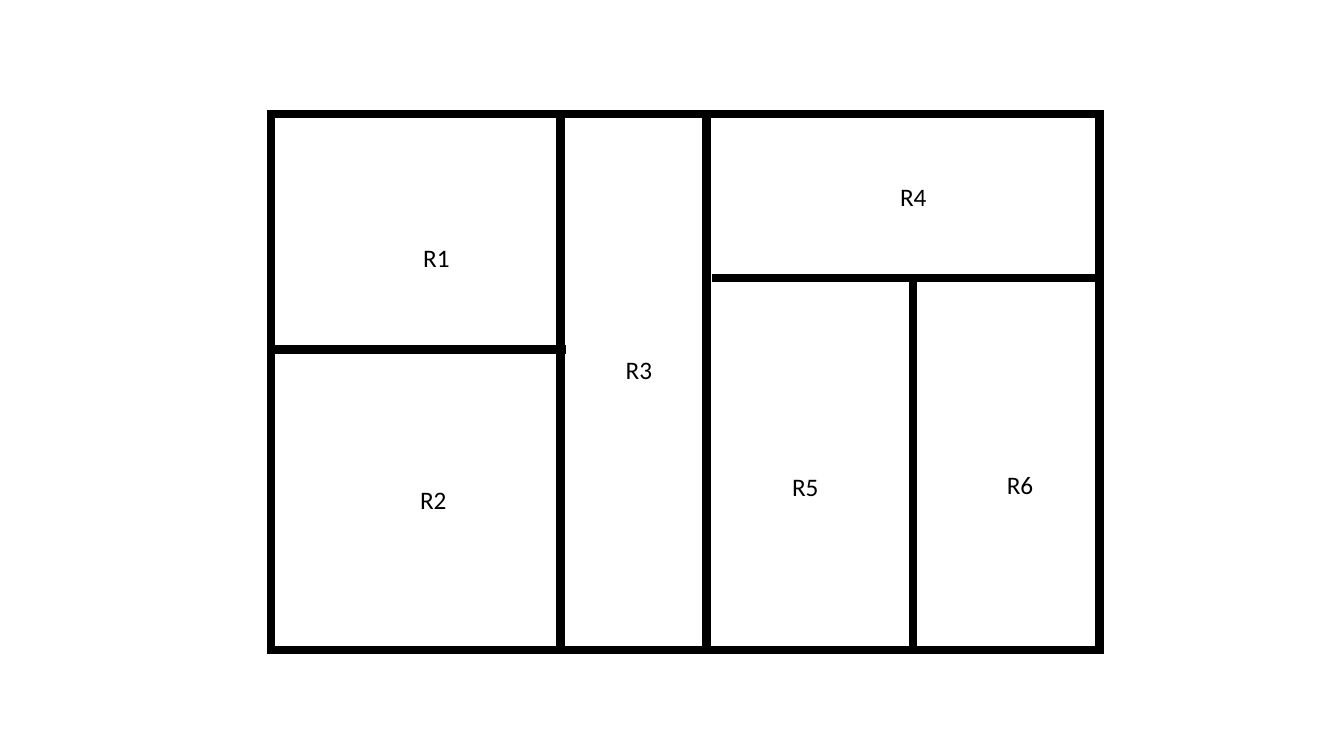
from dataclasses import dataclass
from typing import NamedTuple

from lxml.etree import SubElement
from pptx import Presentation
from pptx.dml.color import RGBColor
from pptx.dml.line import LineFormat
from pptx.enum.shapes import MSO_CONNECTOR as Connector, MSO_SHAPE as Preset
from pptx.enum.text import MSO_AUTO_SIZE as AutoSize
from pptx.oxml.ns import qn
from pptx.slide import Slide
from pptx.util import Pt


@dataclass(frozen=True)
class Theme:
    ink: RGBColor = RGBColor(0, 0, 0)
    font: str = "Calibri"
    label_size: float = 18
    wall_width: float = 6


class Wall(NamedTuple):
    x1: float
    y1: float
    x2: float
    y2: float


class Room(NamedTuple):
    name: str
    left: float
    top: float


THEME = Theme()
LEFT, TOP, RIGHT, BOTTOM = 193.7, 81.4, 785.5, 464.4
WALL_FOOT = 467.3
LABEL_WIDTH, LABEL_HEIGHT = 33.8, 28.8

WALLS = [
    Wall(400.3, 80.6, 400.3, WALL_FOOT),
    Wall(404.6, 249.8, LEFT, 249.8),
    Wall(504.7, TOP, 504.7, WALL_FOOT),
    Wall(508.3, 198.7, RIGHT, 198.7),
    Wall(652.3, 200.9, 652.3, 465.8),
]
ROOMS = [
    Room("R1", 295.2, 169.9),
    Room("R2", 293, 342.7),
    Room("R3", 439.9, 249.8),
    Room("R4", 635.8, 126),
    Room("R5", 558.7, 333.4),
    Room("R6", 712.1, 331.9),
]


def style_wall(line: LineFormat) -> None:
    line.color.rgb = THEME.ink
    line.width = Pt(THEME.wall_width)


def draw_outline(slide: Slide) -> None:
    outline = slide.shapes.add_shape(
        Preset.RECTANGLE, Pt(LEFT), Pt(TOP), Pt(RIGHT - LEFT), Pt(BOTTOM - TOP)
    )
    outline.shadow.inherit = False
    outline.fill.background()
    style_wall(outline.line)
    stroke = outline.element.spPr.find(qn("a:ln"))
    SubElement(stroke, qn("a:miter")).set("lim", "800000")


def draw_wall(slide: Slide, wall: Wall) -> None:
    divider = slide.shapes.add_connector(Connector.STRAIGHT, *map(Pt, wall))
    style_wall(divider.line)
    SubElement(divider.element.spPr, qn("a:effectLst"))


def draw_label(slide: Slide, room: Room) -> None:
    label = slide.shapes.add_textbox(
        Pt(room.left), Pt(room.top), Pt(LABEL_WIDTH), Pt(LABEL_HEIGHT)
    )
    frame = label.text_frame
    frame.word_wrap = False
    frame.auto_size = AutoSize.SHAPE_TO_FIT_TEXT
    run = frame.paragraphs[0].add_run()
    run.text = room.name
    run.font.name = THEME.font
    run.font.size = Pt(THEME.label_size)
    run.font.color.rgb = THEME.ink


def main() -> None:
    deck = Presentation()
    deck.slide_width, deck.slide_height = Pt(960), Pt(540)
    slide = deck.slides.add_slide(deck.slide_layouts[6])
    draw_outline(slide)
    for wall in WALLS:
        draw_wall(slide, wall)
    for room in ROOMS:
        draw_label(slide, room)
    deck.save("out.pptx")


main()
